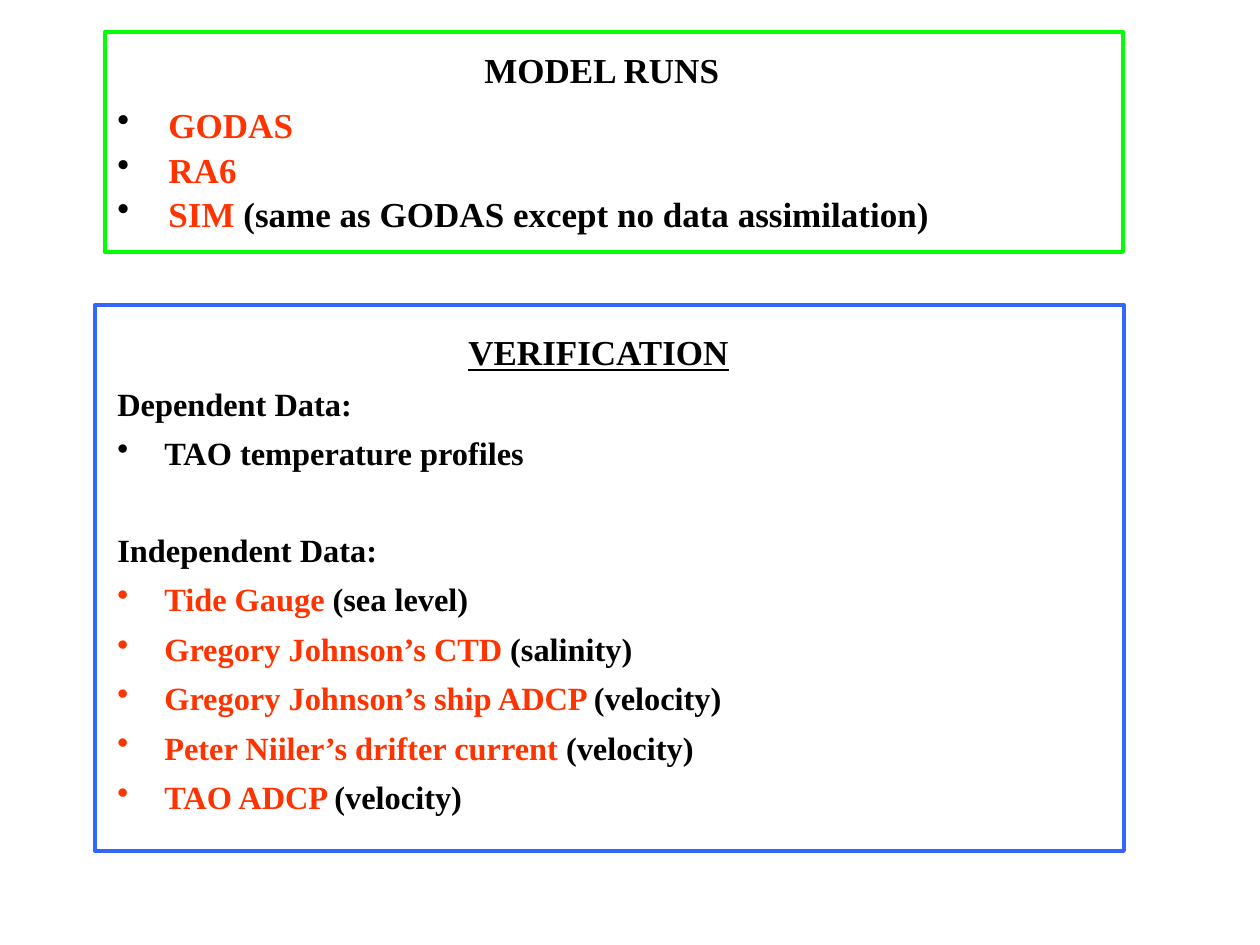
"""Build a slide listing the model runs and the verification data."""
from dataclasses import dataclass

from lxml import etree
from pptx import Presentation
from pptx.dml.color import RGBColor
from pptx.enum.shapes import MSO_SHAPE
from pptx.enum.text import MSO_ANCHOR, MSO_AUTO_SIZE, PP_ALIGN
from pptx.oxml.ns import qn
from pptx.util import Pt

PX = 914400 / 126
BLACK = RGBColor(0x00, 0x00, 0x00)
RED = RGBColor(0xFF, 0x33, 0x00)
GREEN = RGBColor(0x00, 0xFF, 0x00)
BLUE = RGBColor(0x33, 0x66, 0xFF)
RECTANGLE = MSO_SHAPE.RECTANGLE
TOP, MIDDLE = MSO_ANCHOR.TOP, MSO_ANCHOR.MIDDLE
NO_AUTOFIT = MSO_AUTO_SIZE.NONE
LEFT, CENTER = PP_ALIGN.LEFT, PP_ALIGN.CENTER


@dataclass(frozen=True)
class Box:
    left: int
    top: int
    width: int
    height: int

    def emu(self) -> tuple[int, ...]:
        """Return the four lengths in EMU."""
        return tuple(round(value * PX) for value in (self.left, self.top, self.width, self.height))


@dataclass(frozen=True)
class Line:
    highlight: str = ""
    plain: str = ""
    bullet: RGBColor | None = None
    space_before: float = 0


@dataclass(frozen=True)
class Frame:
    box: Box
    color: RGBColor


FRAMES = [Frame(Box(105, 32, 1018, 220), GREEN), Frame(Box(95, 305, 1029, 546), BLUE)]
RUNS = [
    Line("GODAS", "", BLACK),
    Line("RA6", "", BLACK),
    Line("SIM", " (same as GODAS except no data assimilation)", BLACK),
]
DATA = [
    Line(plain="Dependent Data:"),
    Line(plain="TAO temperature profiles", bullet=BLACK, space_before=6),
    Line(plain="Independent Data:", space_before=33),
    Line("Tide Gauge ", "(sea level)", RED, 6),
    Line("Gregory Johnson’s CTD", " (salinity)", RED, 6),
    Line("Gregory Johnson’s ship ADCP ", "(velocity)", RED, 6),
    Line("Peter Niiler’s drifter current ", "(velocity)", RED, 6),
    Line("TAO ADCP ", "(velocity)", RED, 6),
]


def apply_format(target, values: dict) -> None:
    """Set each named attribute on the target."""
    for name, value in values.items():
        setattr(target, name, value)


def add_run(paragraph, text: str, size: float, color: RGBColor, underline: bool = False) -> None:
    """Add one bold run to a paragraph."""
    run = paragraph.add_run()
    run.text = text
    apply_format(run.font, {"name": "Times New Roman", "size": Pt(size), "bold": True,
                            "underline": underline})
    run.font.color.rgb = color


def add_bullet(paragraph, color: RGBColor, indent: int) -> None:
    """Give a paragraph a coloured bullet and a hanging indent."""
    properties = paragraph._p.get_or_add_pPr()
    properties.set("marL", str(round(indent * PX)))
    properties.set("indent", str(-round(indent * PX)))
    bullet_color = etree.SubElement(properties, qn("a:buClr"))
    etree.SubElement(bullet_color, qn("a:srgbClr"), val=str(color))
    etree.SubElement(properties, qn("a:buChar"), char="•")


def add_text_box(slide, box: Box, wrap: bool = True):
    """Add an empty text box and return its frame."""
    text_frame = slide.shapes.add_textbox(*box.emu()).text_frame
    apply_format(text_frame, {"word_wrap": wrap, "vertical_anchor": TOP,
                              "auto_size": NO_AUTOFIT})
    return text_frame


def add_list(slide, box: Box, lines: list[Line], size: float, indent: int,
             line_spacing: float) -> None:
    """Add a text box with one paragraph for each line."""
    text_frame = add_text_box(slide, box)
    for index, line in enumerate(lines):
        paragraph = text_frame.add_paragraph() if index else text_frame.paragraphs[0]
        apply_format(paragraph, {"alignment": LEFT, "line_spacing": line_spacing,
                                 "space_before": Pt(line.space_before)})
        if line.bullet is not None:
            add_bullet(paragraph, line.bullet, indent)
        for text, color in ((line.highlight, RED), (line.plain, BLACK)):
            if text:
                add_run(paragraph, text, size, color)


def add_title(slide, box: Box, text: str) -> None:
    """Place and fill the title placeholder."""
    title = slide.shapes.title
    apply_format(title, dict(zip(("left", "top", "width", "height"), box.emu())))
    apply_format(title.text_frame, {"word_wrap": True, "vertical_anchor": MIDDLE,
                                    "auto_size": NO_AUTOFIT})
    paragraph = title.text_frame.paragraphs[0]
    paragraph.alignment = CENTER
    add_run(paragraph, text, 20, BLACK, underline=True)


def add_frame(slide, frame: Frame) -> None:
    """Add an unfilled rectangle with a coloured outline."""
    shape = slide.shapes.add_shape(RECTANGLE, *frame.box.emu())
    shape.shadow.inherit = False
    shape.fill.background()
    shape.line.color.rgb = frame.color
    shape.line.width = Pt(2.25)


def main() -> None:
    """Build and save the presentation."""
    presentation = Presentation()
    apply_format(presentation, {"slide_width": round(1260 * PX),
                                "slide_height": round(945 * PX)})
    slide = presentation.slides.add_slide(presentation.slide_layouts[5])
    add_title(slide, Box(63, 294, 1071, 116), "VERIFICATION")
    add_list(slide, Box(105, 378, 1008, 431), DATA, 18.5, 47, 1.0)
    heading = add_text_box(slide, Box(472, 42, 262, 55), wrap=False)
    add_run(heading.paragraphs[0], "MODEL RUNS", 20, BLACK)
    add_list(slide, Box(105, 95, 1050, 139), RUNS, 20, 51, 1.06)
    for frame in FRAMES:
        add_frame(slide, frame)
    presentation.save("out.pptx")


if __name__ == "__main__":
    main()
